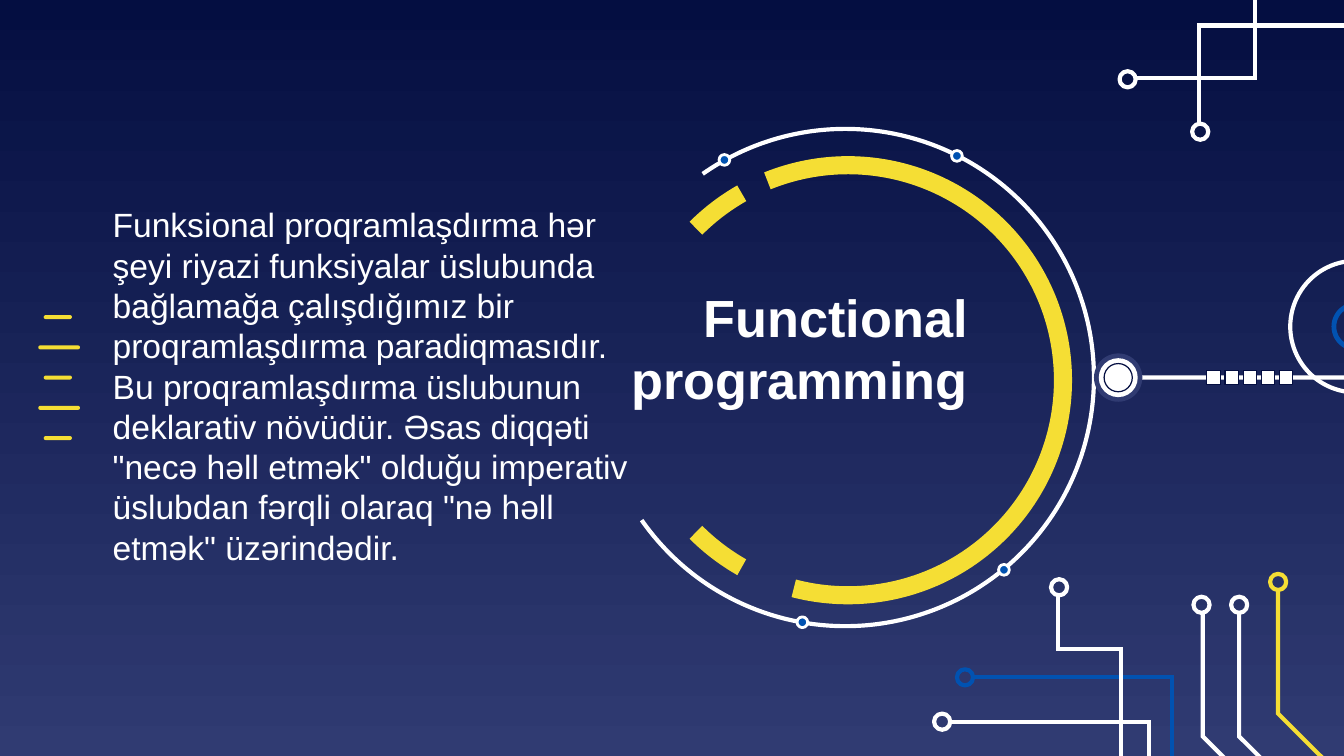
from lxml.etree import SubElement
from pptx import Presentation
from pptx.dml.color import RGBColor
from pptx.enum.shapes import MSO_SHAPE
from pptx.enum.text import MSO_ANCHOR, MSO_AUTO_SIZE, PP_ALIGN
from pptx.oxml.ns import qn
from pptx.util import Inches, Pt

WHITE = RGBColor(0xFF, 0xFF, 0xFF)
YELLOW = RGBColor(0xF5, 0xDE, 0x34)
BLUE = RGBColor(0x01, 0x52, 0xB1)
NAVY = RGBColor(0x04, 0x0E, 0x41)
INDIGO = RGBColor(0x30, 0x3B, 0x72)

TITLE = "Functional programming"
BODY = (
    "Funksional proqramlaşdırma hər şeyi riyazi funksiyalar üslubunda "
    "bağlamağa çalışdığımız bir proqramlaşdırma paradiqmasıdır. "
    "Bu proqramlaşdırma üslubunun deklarativ növüdür. Əsas diqqəti "
    "\"necə həll etmək\" olduğu imperativ üslubdan fərqli olaraq "
    "\"nə həll etmək\" üzərindədir."
)

# Circuit traces: colour, node centre, points of the line
TRACES = [
    (BLUE, (7.18, 5.04), [(7.24, 5.04), (8.72, 5.04), (8.72, 6.24), (10.2, 6.24)]),
    (WHITE, (8.94, 4.5), [(8.95, 4.55), (8.95, 5.48), (9.39, 5.92), (9.39, 6.65)]),
    (WHITE, (9.22, 4.5), [(9.22, 4.55), (9.22, 5.48), (9.66, 5.92), (9.66, 6.65)]),
    (YELLOW, (9.51, 4.33), [(9.51, 4.38), (9.51, 5.31), (9.95, 5.75), (9.95, 6.48)]),
    (WHITE, (8.39, 0.59), [(8.45, 0.58), (9.34, 0.58), (9.34, -0.52)]),
    (WHITE, (8.93, 0.98), [(8.92, 0.93), (8.92, 0.19), (10.11, 0.19), (10.11, -0.52)]),
    (WHITE, (7.01, 5.37), [(7.07, 5.37), (8.55, 5.37), (8.55, 6.57), (10.03, 6.57)]),
    (WHITE, (7.88, 4.37), [(7.87, 4.42), (7.87, 4.83), (8.34, 4.83), (8.34, 5.94)]),
]
# Ring arcs: centre, radius, clockwise start and end in degrees, colour, width
ARCS = [
    ((6.31, 2.83), 1.6, 119.6, 135, YELLOW, 9.69),
    ((6.31, 2.83), 1.6, 248, 104.6, YELLOW, 9.69),
    ((6.31, 2.83), 1.6, 225, 240.4, YELLOW, 9.69),
    ((6.29, 2.81), 1.85, 235, 145, WHITE, 2.25),
]
RING_DOTS = [(7.12, 1.16), (5.39, 1.19), (7.47, 4.24), (5.97, 4.63)]
HUB_LINE = [(8.41, 2.81), (10.09, 2.81), (10.09, 2.43), (10.65, 2.43), (11.31, 3.1)]
# Circles: centre, diameter, fill, line colour, line width
CIRCLES = [
    ((10.09, 2.43), 0.98, None, WHITE, 2.25),
    ((10.09, 2.43), 0.33, None, BLUE, 2.57),
    ((8.32, 2.81), 0.36, INDIGO, None, 0),
    ((8.32, 2.81), 0.29, WHITE, None, 0),
    ((8.32, 2.81), 0.21, WHITE, NAVY, 0.66),
]
SQUARES, SQUARES_LEFT, SQUARES_RIGHT = 5, 9.03, 9.57
DASH_WIDTHS, DASH_TOP, DASH_BOTTOM = [0.21, 0.31, 0.21, 0.31, 0.21], 2.36, 3.26

prs = Presentation()
prs.slide_width, prs.slide_height = Inches(10), Inches(10 * 9 / 16)
slide = prs.slides.add_slide(prs.slide_layouts[5])
shapes = slide.shapes


def paint(sp, fill=None, line=None, width=0):
    """Set the fill and line of a shape and drop its shadow."""
    sp.shadow.inherit = False
    if fill is None:
        sp.fill.background()
    else:
        sp.fill.solid()
        sp.fill.fore_color.rgb = fill
    if line is None:
        sp.line.fill.background()
    else:
        sp.line.color.rgb = line
        sp.line.width = Pt(width)


def spread(first, last, count):
    """Return evenly spaced positions from first to last."""
    return [first + i * (last - first) / (count - 1) for i in range(count)]


def add_centred(kind, centre, width, height, fill=None, line=None, line_width=0):
    """Add a preset shape around its centre."""
    x, y = centre
    sp = shapes.add_shape(kind, Inches(x - width / 2), Inches(y - height / 2),
                          Inches(width), Inches(height))
    paint(sp, fill, line, line_width)
    return sp


def add_polyline(points, color, width=2.25):
    """Add an open line with sharp corners through the points."""
    start, *rest = [(Inches(x), Inches(y)) for x, y in points]
    builder = shapes.build_freeform(*start)
    builder.add_line_segments(rest, close=False)
    sp = builder.convert_to_shape()
    paint(sp, line=color, width=width)
    SubElement(sp.element.spPr.find(qn("a:ln")), qn("a:miter"), lim="800000")


def set_text(sp, text, size=18, bold=False, align=PP_ALIGN.LEFT):
    """Write wrapped Arial text into a box."""
    tf = sp.text_frame
    tf.word_wrap = True
    tf.auto_size = MSO_AUTO_SIZE.SHAPE_TO_FIT_TEXT
    tf.vertical_anchor = MSO_ANCHOR.TOP
    p = tf.paragraphs[0]
    p.alignment, p.line_spacing, p.space_before = align, 1.0, Pt(0)
    r = p.add_run()
    r.text = text
    r.font.name, r.font.size, r.font.bold = "Arial", Pt(size), bold
    r.font.color.rgb = WHITE


bg = slide.background.fill
bg.gradient()
bg.gradient_angle = 270
for stop, color in zip(bg.gradient_stops, (NAVY, INDIGO)):
    stop.color.rgb = color

for y, width in zip(spread(DASH_TOP, DASH_BOTTOM, len(DASH_WIDTHS)), DASH_WIDTHS):
    x = 0.43 if width < 0.3 else 0.44
    dash = add_centred(MSO_SHAPE.ROUNDED_RECTANGLE, (x, y), width, 0.03, YELLOW)
    dash.adjustments[0] = 0.5

for color, node, points in TRACES:
    add_polyline(points, color)
    add_centred(MSO_SHAPE.OVAL, node, 0.12, 0.12, line=color, line_width=2.25)

for centre, radius, start, end, color, width in ARCS:
    arc = add_centred(MSO_SHAPE.ARC, centre, 2 * radius, 2 * radius,
                      line=color, line_width=width)
    arc.adjustments[0], arc.adjustments[1] = start * 0.6, end * 0.6

for centre in RING_DOTS:
    add_centred(MSO_SHAPE.OVAL, centre, 0.08, 0.08, BLUE, WHITE, 1.5)

add_polyline(HUB_LINE, WHITE)
for centre, size, fill, line, width in CIRCLES:
    add_centred(MSO_SHAPE.OVAL, centre, size, size, fill, line, width)
for x in spread(SQUARES_LEFT, SQUARES_RIGHT, SQUARES):
    add_centred(MSO_SHAPE.RECTANGLE, (x, 2.81), 0.1, 0.1, WHITE, NAVY, 0.66)

body = shapes.add_textbox(Inches(0.74), Inches(1.47), Inches(4.04), Inches(2.83))
set_text(body, BODY)
title = shapes.title
title.left, title.top = Inches(4.5), Inches(2.07)
title.width, title.height = Inches(2.8), Inches(1.04)
set_text(title, TITLE, size=28, bold=True, align=PP_ALIGN.RIGHT)

prs.save("out.pptx")
